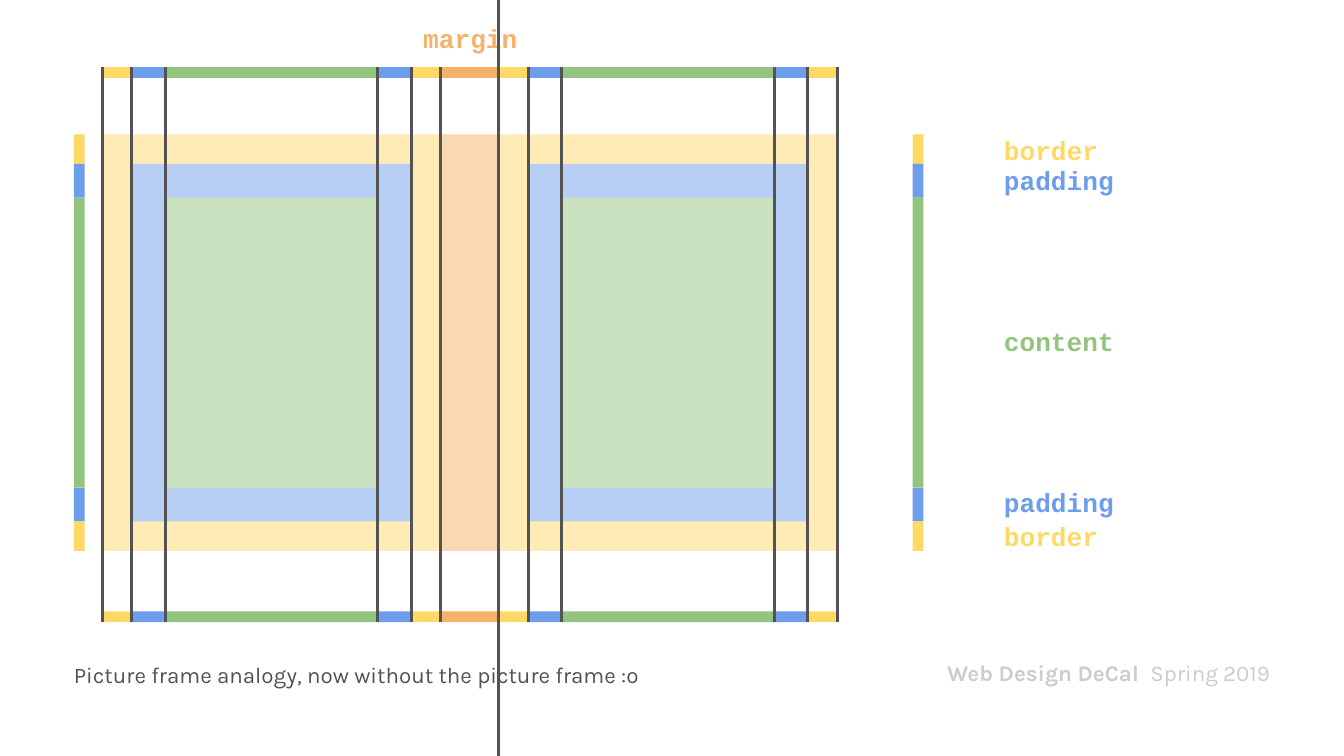
"""Build the box model slide: two framed boxes, their measuring bars and guide lines."""
from itertools import accumulate

from lxml.etree import SubElement
from pptx import Presentation
from pptx.dml.color import RGBColor
from pptx.enum.shapes import MSO_CONNECTOR as CONNECTOR, MSO_SHAPE as SHAPE
from pptx.enum.text import MSO_ANCHOR as ANCHOR, PP_ALIGN as ALIGN
from pptx.oxml.ns import qn
from pptx.util import Pt

COLORS = {
    "border": "FFD966", "padding": "6D9EEB", "content": "93C47D", "margin": "F6B26B",
    "line": "535353", "footer": "CCCCCC",
}
FILLS = {"border": "FEEBB6", "padding": "B7CFF4", "content": "CAE1BF"}
FOOTER = [("Web Design DeCal  ", True), ("Spring 2019", False)]
CAPTION = [("Picture frame analogy, now without the picture frame :o", False)]
LABELS = [
    ("margin", 213.84, 12.24, ALIGN.CENTER),
    ("border", 537.84, 72, ALIGN.LEFT),
    ("padding", 537.84, 87.84, ALIGN.LEFT),
    ("content", 537.84, 174.24, ALIGN.LEFT),
    ("padding", 537.84, 260.64, ALIGN.LEFT),
    ("border", 537.84, 278.64, ALIGN.LEFT),
]

WIDTH, HEIGHT = 720, 405
BORDER, PADDING, MARGIN = 15.84, 18, 30.96
CONTENT_WIDTH, CONTENT_HEIGHT = 113.76, 155.52
LEFT, TOP = 54.72, 72
BAR = 5.76
BAR_TOPS = (36, 327.6)
BAR_LEFTS = (39.6, 488.88)
TEXT_HEIGHT = 18


def box_parts(content_size):
    return [("border", BORDER), ("padding", PADDING), ("content", content_size),
            ("padding", PADDING), ("border", BORDER)]


def edges(start, parts):
    return list(accumulate((size for _, size in parts), initial=start))


def add_rect(left, top, width, height, color, opacity=None):
    rect = slide.shapes.add_shape(SHAPE.RECTANGLE, Pt(left), Pt(top), Pt(width), Pt(height))
    rect.shadow.inherit = False
    rect.line.fill.background()
    rect.fill.solid()
    rect.fill.fore_color.rgb = RGBColor.from_string(color)
    if opacity:
        hue = rect.fill._xPr.find(".//" + qn("a:srgbClr"))
        SubElement(hue, qn("a:alpha"), val=str(opacity * 1000))


def add_guide(x, top, bottom):
    guide = slide.shapes.add_connector(CONNECTOR.STRAIGHT, Pt(x), Pt(top), Pt(x), Pt(bottom))
    guide.line.color.rgb = RGBColor.from_string(COLORS["line"])
    guide.line.width = Pt(1.5)
    SubElement(guide._element.spPr, qn("a:effectLst"))


def add_text(runs, left, top, width, *, color, font="Karla", size=12,
             align=ALIGN.LEFT, anchor=ANCHOR.MIDDLE, spacing=None):
    box = slide.shapes.add_textbox(Pt(left), Pt(top), Pt(width), Pt(TEXT_HEIGHT))
    frame = box.text_frame
    frame.word_wrap = True
    frame.vertical_anchor = anchor
    frame.margin_left = frame.margin_top = frame.margin_right = frame.margin_bottom = 0
    paragraph = frame.paragraphs[0]
    paragraph.alignment = align
    paragraph.line_spacing = spacing
    for words, bold in runs:
        run = paragraph.add_run()
        run.text = words
        run.font.name, run.font.size, run.font.bold = font, Pt(size), bold
        run.font.color.rgb = RGBColor.from_string(color)


prs = Presentation()
prs.slide_width, prs.slide_height = Pt(WIDTH), Pt(HEIGHT)
slide = prs.slides.add_slide(prs.slide_layouts[6])

columns = box_parts(CONTENT_WIDTH) + [("margin", MARGIN)] + box_parts(CONTENT_WIDTH)
rows = box_parts(CONTENT_HEIGHT)
xs, ys = edges(LEFT, columns), edges(TOP, rows)

for first, last in ((0, 5), (6, 11)):
    for depth, part in enumerate(FILLS):
        x, y = xs[first + depth], ys[depth]
        add_rect(x, y, xs[last - depth] - x, ys[5 - depth] - y, FILLS[part])
add_rect(xs[5], TOP, MARGIN, ys[-1] - TOP, COLORS["margin"], opacity=50)

for bar_top in BAR_TOPS:
    for x, (part, width) in zip(xs, columns):
        add_rect(x, bar_top, width, BAR, COLORS[part])
for bar_left in BAR_LEFTS:
    for y, (part, height) in zip(ys, rows):
        add_rect(bar_left, y, BAR, height, COLORS[part])

for part, x, y, align in LABELS:
    add_text([(part, True)], x, y, 76.32, color=COLORS[part], font="Courier New",
             size=14, align=align, anchor=ANCHOR.TOP)
add_text(CAPTION, 39.6, 351.36, 424.8, color=COLORS["line"], spacing=1.15)
add_text(FOOTER, 471.6, 351.36, 208.8, color=COLORS["footer"], align=ALIGN.RIGHT)

for x in xs:
    add_guide(x, BAR_TOPS[0], BAR_TOPS[1] + BAR)
add_guide(xs[6], 0, HEIGHT)

prs.save("out.pptx")
